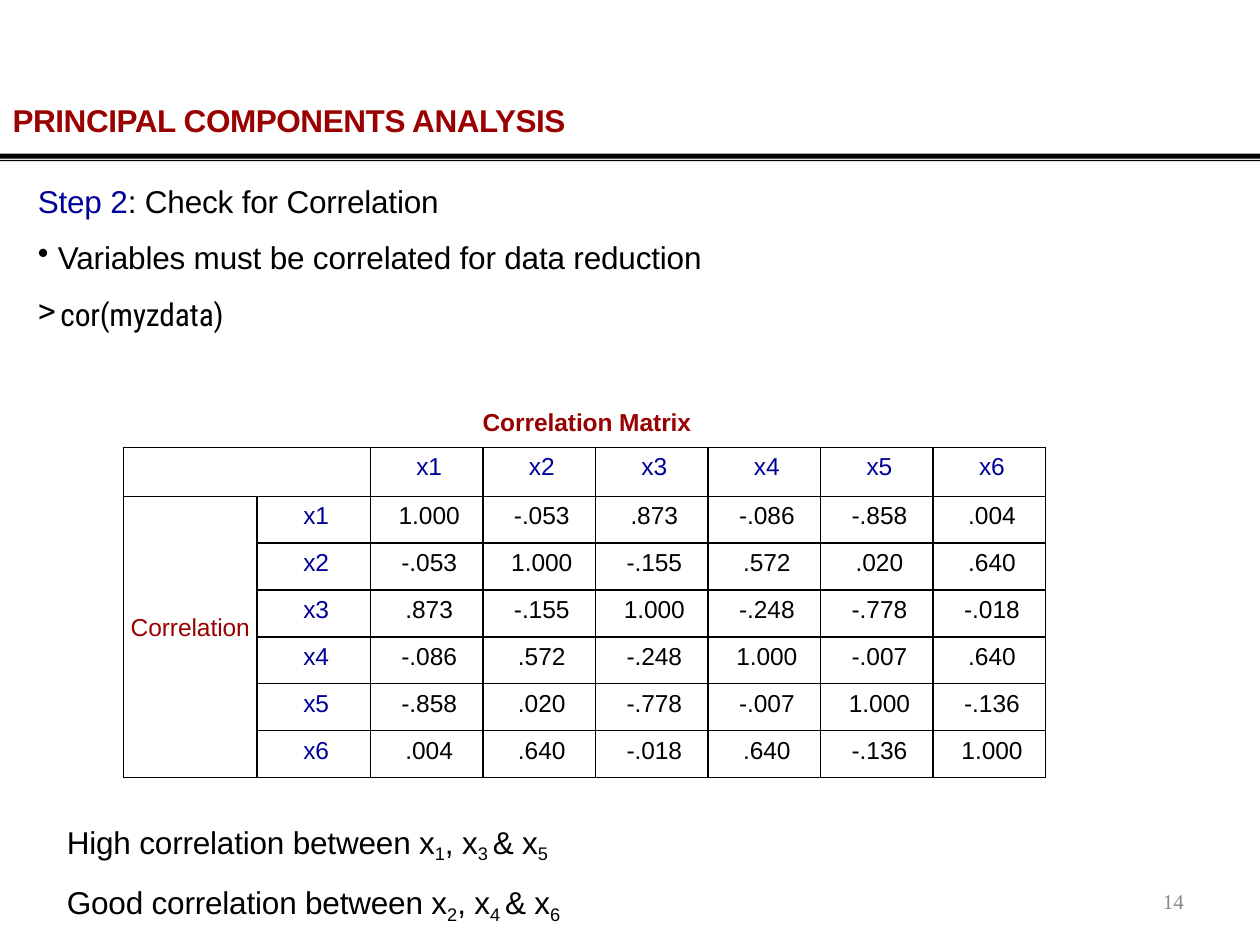
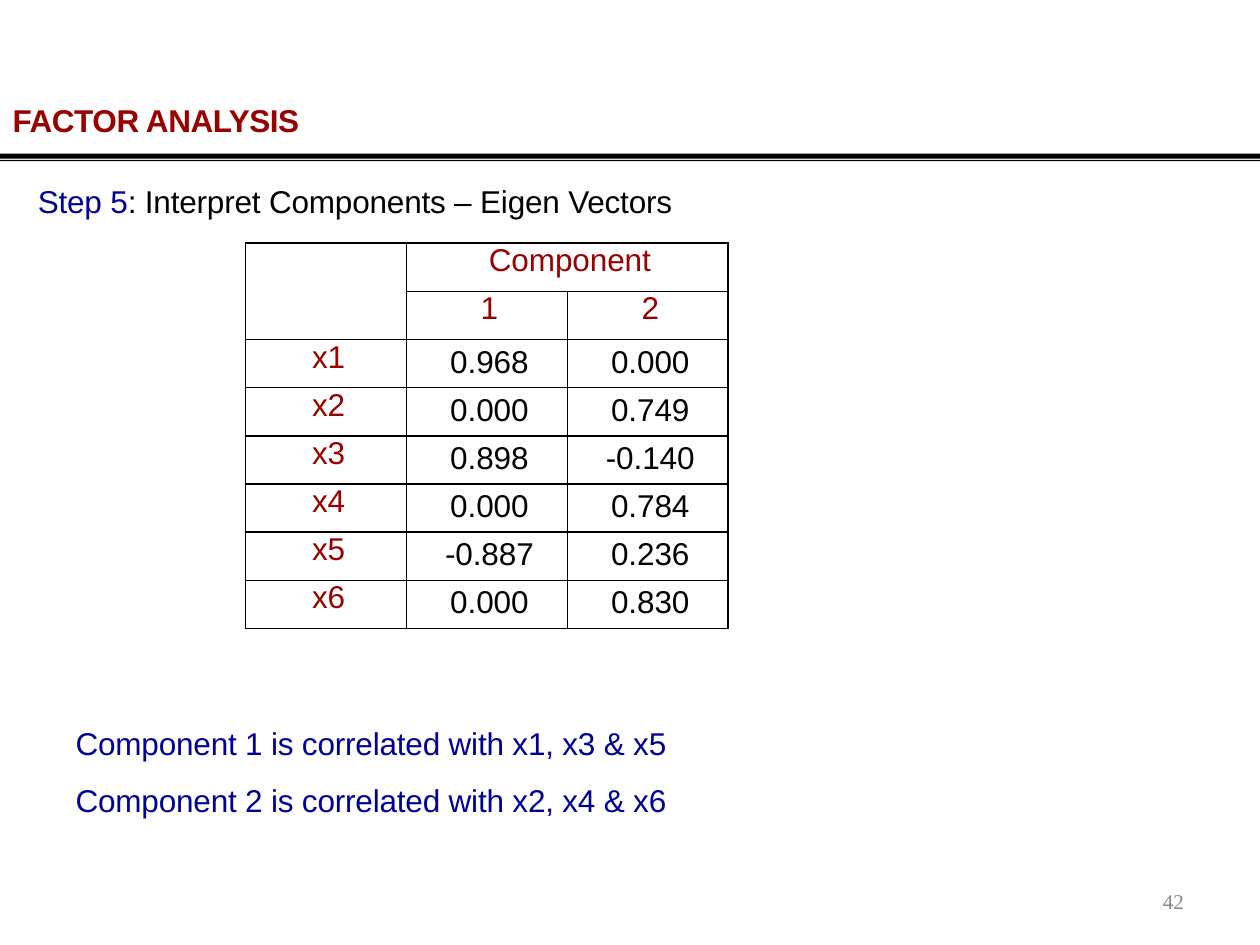
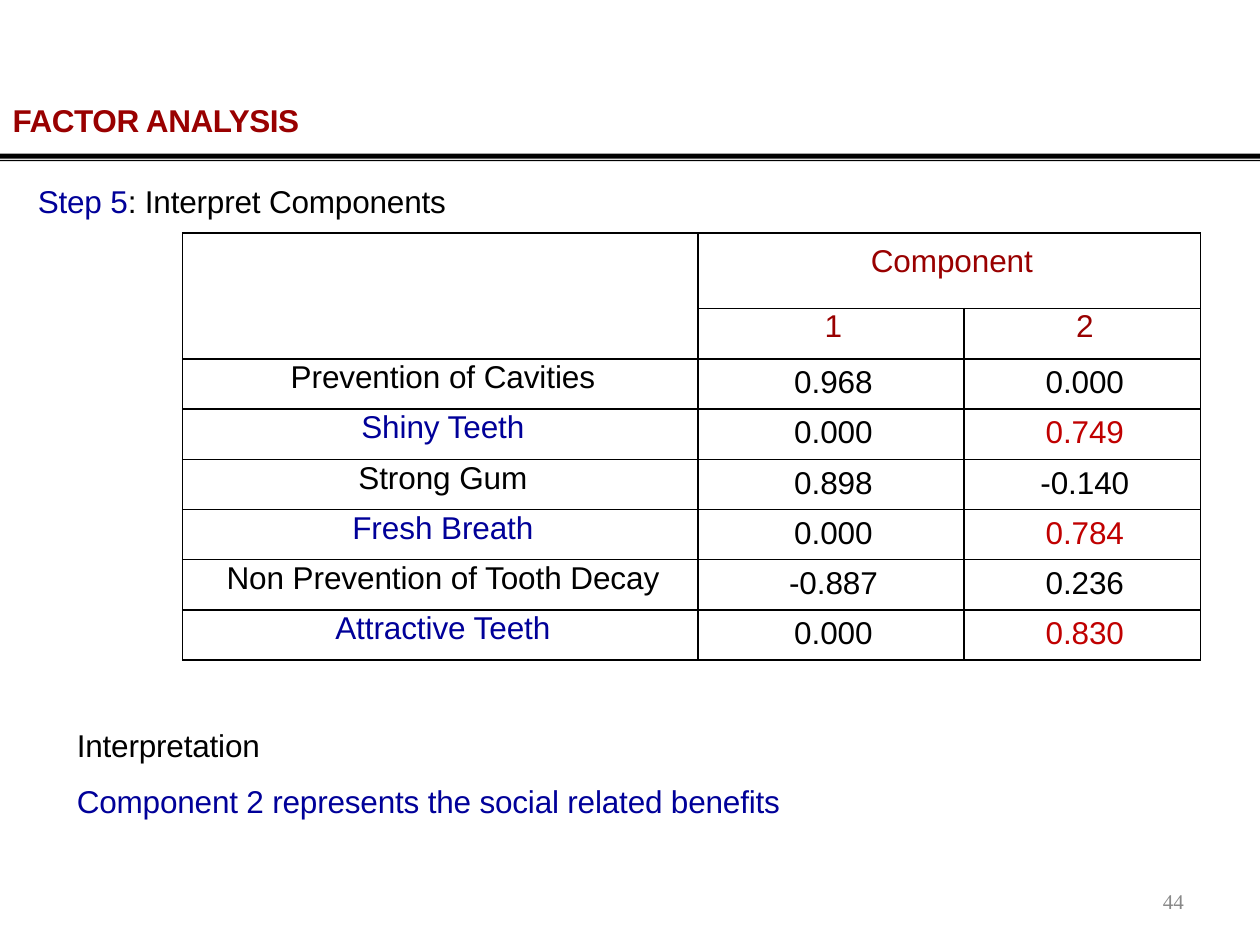
"""Build three slides on principal components and factor analysis."""
from lxml.etree import SubElement
from pptx import Presentation
from pptx.dml.color import RGBColor
from pptx.enum.text import MSO_ANCHOR as Anchor, PP_ALIGN as Align
from pptx.oxml.ns import qn
from pptx.util import Inches, Pt

BLACK = RGBColor(0x00, 0x00, 0x00)
MAROON = RGBColor(0x99, 0x00, 0x00)
NAVY = RGBColor(0x00, 0x00, 0x99)
RED = RGBColor(0xC0, 0x00, 0x00)
GRAY = RGBColor(0x88, 0x88, 0x88)

BODY_FONT = "Arial"
CODE_FONT = "Roboto Condensed"
NUMBER_FONT = "Times New Roman"
SUBSCRIPT = "-21000"
TITLE_GAP = 24.7
LINE_GAP = 10.8

VARIABLES = ["x1", "x2", "x3", "x4", "x5", "x6"]
CORRELATIONS = [
    ["1.000", "-.053", ".873", "-.086", "-.858", ".004"],
    ["-.053", "1.000", "-.155", ".572", ".020", ".640"],
    [".873", "-.155", "1.000", "-.248", "-.778", "-.018"],
    ["-.086", ".572", "-.248", "1.000", "-.007", ".640"],
    ["-.858", ".020", "-.778", "-.007", "1.000", "-.136"],
    [".004", ".640", "-.018", ".640", "-.136", "1.000"],
]
LOADINGS = [
    ["0.968", "0.000"],
    ["0.000", "0.749"],
    ["0.898", "-0.140"],
    ["0.000", "0.784"],
    ["-0.887", "0.236"],
    ["0.000", "0.830"],
]
BENEFITS = ["Prevention of Cavities", "Shiny Teeth", "Strong Gum", "Fresh Breath",
            "Non Prevention of Tooth Decay", "Attractive Teeth"]
CORRELATED_GROUPS = [("High", "135"), ("Good", "246")]
COMPONENT_NOTES = ["Component 1 is correlated with x1, x3 & x5",
                   "Component 2 is correlated with x2, x4 & x6"]


def add_run(paragraph, text, color, size=18, font=BODY_FONT, bold=False,
            spacing=-10, baseline=None):
    """Append one formatted run."""
    run = paragraph.add_run()
    run.text = text
    run.font.size = Pt(size)
    run.font.name = font
    run.font.bold = bold
    run.font.color.rgb = color
    properties = run._r.get_or_add_rPr()
    properties.set("spc", str(spacing))
    if baseline:
        properties.set("baseline", baseline)


def set_indent(paragraph, left, hanging=0.0, bullet=None):
    """Set the indents of a paragraph and its bullet character."""
    properties = paragraph._p.get_or_add_pPr()
    properties.set("marL", str(Inches(left)))
    properties.set("indent", str(-Inches(hanging)))
    if bullet:
        SubElement(properties, qn("a:buChar")).set("char", bullet)


def add_text_box(slide, left, top, width, height, inset_top=0.0, inset_left=0.0):
    """Add a wrapping text box and return its text frame."""
    frame = slide.shapes.add_textbox(
        Inches(left), Inches(top), Inches(width), Inches(height)).text_frame
    frame.word_wrap = True
    frame.margin_left, frame.margin_top = Inches(inset_left), Inches(inset_top)
    frame.margin_right = frame.margin_bottom = 0
    return frame


def add_paragraph(frame, gap):
    """Append a paragraph with the given space before it."""
    paragraph = frame.add_paragraph()
    paragraph.space_before = Pt(gap)
    return paragraph


def add_double_rule(slide):
    """Draw the thick and thin rule below the title."""
    bands = [(1.22, 1.26), (1.27, 1.28)]
    builder = slide.shapes.build_freeform(0, Inches(bands[0][0]))
    for top, bottom in bands:
        builder.move_to(0, Inches(top))
        corners = [(10, top), (10, bottom), (0, bottom)]
        builder.add_line_segments([(Inches(x), Inches(y)) for x, y in corners], close=True)
    rule = builder.convert_to_shape()
    rule.shadow.inherit = False
    rule.fill.solid()
    rule.fill.fore_color.rgb = BLACK
    rule.line.fill.background()


def add_base_slide(presentation, title, step, heading, number, width, height=0.96):
    """Add a slide with rule, title, step line and page number; return it and its heading frame."""
    slide = presentation.slides.add_slide(presentation.slide_layouts[6])
    add_double_rule(slide)
    frame = add_text_box(slide, 0.09, 0.79, width, height, 0.01)
    set_indent(frame.paragraphs[0], 0.01)
    add_run(frame.paragraphs[0], title, MAROON, bold=True, spacing=-25)
    step_line = add_paragraph(frame, TITLE_GAP)
    set_indent(step_line, 0.21)
    add_run(step_line, step, NAVY)
    add_run(step_line, ": " + heading, BLACK)
    number_frame = add_text_box(slide, 9.17, 7.05, 0.27, 0.22, inset_left=0.06)
    add_run(number_frame.paragraphs[0], number, GRAY, 12, NUMBER_FONT, spacing=0)
    return slide, frame


def add_borders(cell):
    """Draw a thin black border on all sides of a cell."""
    properties = cell._tc.get_or_add_tcPr()
    for position, side in enumerate(("lnL", "lnR", "lnT", "lnB")):
        line = SubElement(properties, qn("a:" + side), w=str(Pt(1)))
        fill = SubElement(line, qn("a:solidFill"))
        SubElement(fill, qn("a:srgbClr"), val=str(BLACK))
        properties.insert(position, line)


def add_grid(slide, left, top, widths, heights, cells, merges, size, style):
    """Add a bordered table; style gives the colour and top inset for a row and column."""
    table = slide.shapes.add_table(
        len(heights), len(widths), Inches(left), Inches(top),
        Inches(sum(widths)), Inches(sum(heights))).table
    table.first_row = table.horz_banding = False
    for column, width in zip(table.columns, widths):
        column.width = Inches(width)
    for row, height in zip(table.rows, heights):
        row.height = Inches(height)
    for row, texts in enumerate(cells):
        for column, text in enumerate(texts):
            cell = table.cell(row, column)
            color, inset_top = style(row, column)
            cell.margin_left, cell.margin_top = Inches(0.04), Inches(inset_top)
            cell.margin_right = cell.margin_bottom = 0
            cell.fill.background()
            add_borders(cell)
            paragraph = cell.text_frame.paragraphs[0]
            paragraph.alignment = Align.CENTER
            if text:
                add_run(paragraph, text, color, size, spacing=-5)
    for first, last in merges:
        table.cell(*first).merge(table.cell(*last))
    return table


def correlation_style(row, column):
    """Colour the correlation table: maroon side label, navy variables, black values."""
    if column == 0:
        return MAROON, 0
    return (NAVY if row == 0 or column == 1 else BLACK), 0.05


def vector_style(row, column):
    """Colour the eigenvector table: maroon labels, black values."""
    return (MAROON, 0) if row < 2 or column == 0 else (BLACK, 0.04)


def benefit_style(row, column):
    """Colour the benefit table, marking the rows that load on component 2."""
    if row < 2:
        return MAROON, (0.09 if row == 0 and column else 0)
    social = row % 2 == 1
    if column == 0:
        return (NAVY if social else BLACK), 0.01
    return (RED if social and column == 2 else BLACK), 0.05


def add_component_table(slide, left, top, widths, heights, labels, style):
    """Add a table of loadings on two components."""
    cells = [["", "Component", ""], ["", "1", "2"]]
    cells += [[label, *values] for label, values in zip(labels, LOADINGS)]
    merges = [((0, 0), (1, 0)), ((0, 1), (0, 2))]
    add_grid(slide, left, top, widths, heights, cells, merges, 18, style)


def add_notes_lines(slide, left, top, width, lines):
    """Add coloured lines below a table."""
    frame = add_text_box(slide, left, top, width, 0.93, 0.16)
    for position, (text, color) in enumerate(lines):
        paragraph = add_paragraph(frame, LINE_GAP) if position else frame.paragraphs[0]
        set_indent(paragraph, 0.01)
        add_run(paragraph, text, color)


def build_correlation_slide(presentation):
    """Build the correlation check."""
    slide, frame = add_base_slide(presentation, "PRINCIPAL COMPONENTS ANALYSIS", "Step 2",
                                  "Check for Correlation", "14", 5.7, 1.86)
    bullets = [("Variables must be correlated for data reduction", "•", 0.37, 0.16, BODY_FONT),
               ("cor(myzdata)", ">", 0.39, 0.18, CODE_FONT)]
    for text, bullet, left, hanging, font in bullets:
        paragraph = frame.add_paragraph()
        set_indent(paragraph, left, hanging, bullet)
        paragraph.space_before = Pt(LINE_GAP)
        add_run(paragraph, text, BLACK, font=font)

    cells = [["", "", *VARIABLES]]
    for variable, values in zip(VARIABLES, CORRELATIONS):
        cells.append(["" if len(cells) > 1 else "Correlation", variable, *values])
    count = len(VARIABLES)
    widths = [1.06, 0.9] + [(7.32 - 1.96) / count] * count
    heights = [0.39] + [(2.62 - 0.39) / count] * count
    merges = [((0, 0), (0, 1)), ((1, 0), (count, 0))]
    table = add_grid(slide, 0.98, 3.55, widths, heights, cells, merges, 14, correlation_style)
    side_label = table.cell(1, 0)
    side_label.vertical_anchor = Anchor.MIDDLE
    side_label.margin_left, side_label.margin_bottom = 0, Inches(0.14)

    caption = add_text_box(slide, 3.82, 3.22, 1.75, 0.26, 0.01)
    set_indent(caption.paragraphs[0], 0.01)
    add_run(caption.paragraphs[0], "Correlation Matrix", MAROON, 14, bold=True, spacing=-5)

    findings = add_text_box(slide, 0.49, 6.37, 4.11, 0.93, 0.16)
    for position, (strength, (first, second, third)) in enumerate(CORRELATED_GROUPS):
        paragraph = add_paragraph(findings, LINE_GAP) if position else findings.paragraphs[0]
        set_indent(paragraph, 0.04)
        parts = [(f"{strength} correlation between x", first), (", x", second + " "),
                 ("& x", third)]
        for text, index in parts:
            add_run(paragraph, text, BLACK)
            add_run(paragraph, index, BLACK, baseline=SUBSCRIPT)


def build_vector_slide(presentation):
    """Build the eigenvector table."""
    slide, _ = add_base_slide(presentation, "FACTOR ANALYSIS", "Step 5",
                              "Interpret Components – Eigen Vectors", "42", 5.5)
    add_notes_lines(slide, 0.59, 5.59, 4.9, [(note, NAVY) for note in COMPONENT_NOTES])
    add_component_table(slide, 1.95, 1.93, [3.83 / 3] * 3, [3.06 / 8] * 8,
                        VARIABLES, vector_style)


def build_benefit_slide(presentation):
    """Build the interpretation of component 2."""
    slide, _ = add_base_slide(presentation, "FACTOR ANALYSIS", "Step 5",
                              "Interpret Components", "44", 3.6)
    add_notes_lines(slide, 0.6, 5.6, 5.8, [
        ("Interpretation", BLACK),
        ("Component 2 represents the social related benefits", NAVY)])
    add_component_table(slide, 1.45, 1.85, [4.09, 2.11, 1.88], [0.6] + [(3.39 - 0.6) / 7] * 7,
                        BENEFITS, benefit_style)


def main():
    """Build and save the presentation."""
    presentation = Presentation()
    presentation.slide_width, presentation.slide_height = Inches(10), Inches(7.5)
    build_correlation_slide(presentation)
    build_vector_slide(presentation)
    build_benefit_slide(presentation)
    presentation.save("out.pptx")


if __name__ == "__main__":
    main()
